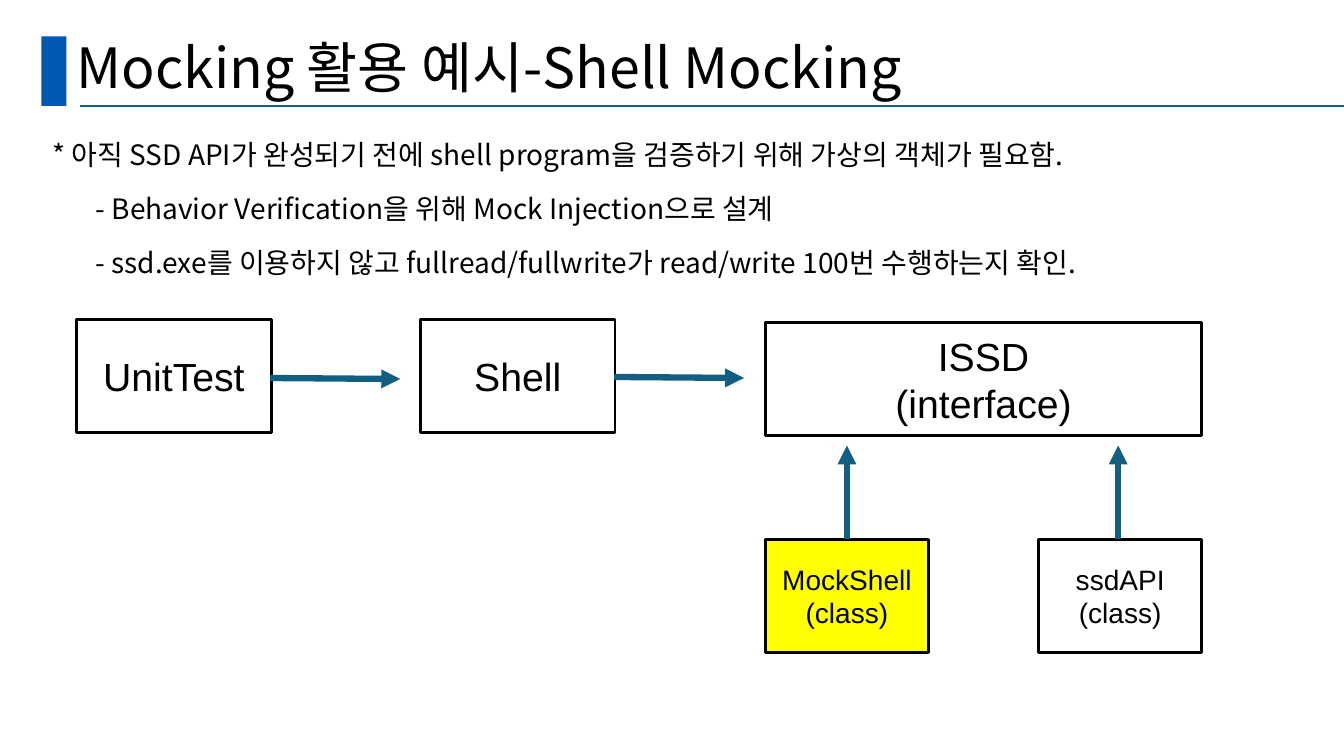
from dataclasses import dataclass

from lxml import etree
from pptx import Presentation
from pptx.dml.color import RGBColor
from pptx.enum import shapes, text
from pptx.oxml import ns
from pptx.util import Inches, Pt

KOREAN_FONT = "Noto Sans CJK KR"
BLACK = "000000"
ARROW_BLUE = "125F82"
BOX_HEIGHT = 1.12
TOP_ROW, CLASS_ROW = 3.17, 5.35


@dataclass
class Box:
    label: str
    left: float
    top: float
    width: float
    size: float
    fill: str | None = None


@dataclass
class Line:
    start: tuple[float, float]
    end: tuple[float, float]
    color: str = ARROW_BLUE
    width: float = 4.5
    arrow: bool = True


@dataclass
class Note:
    words: str
    indent: float


BOXES = [
    Box("ISSD\v(interface)", 7.59, 3.2, 4.33, 28),
    Box("MockShell\v(class)", 7.59, CLASS_ROW, 1.62, 20, "FFFF00"),
    Box("ssdAPI\v(class)", 10.3, CLASS_ROW, 1.62, 20),
    Box("UnitTest", 0.76, TOP_ROW, 1.93, 28),
    Box("Shell", 4.17, TOP_ROW, 1.93, 28),
]
LINES = [
    Line((0.79, 1.05), (13.33, 1.05), "156082", 1.5, arrow=False),
    Line((8.4, CLASS_ROW), (8.4, 4.42)),
    Line((11.09, CLASS_ROW), (11.09, 4.42)),
    Line((2.68, 3.75), (3.97, 3.76)),
    Line((6.09, 3.74), (7.38, 3.75)),
]
NOTES = [
    Note("* 아직 SSD API가 완성되기 전에 shell program을 검증하기 위해 가상의 객체가 필요함.", 0.19),
    Note("- Behavior Verification을 위해 Mock Injection으로 설계", 0.62),
    Note("- ssd.exe를 이용하지 않고 fullread/fullwrite가 read/write 100번 수행하는지 확인.", 0.62),
]


def rgb(color: str) -> RGBColor:
    return RGBColor.from_string(color)


def write(para, words: str, *, size: float, font: str = "Arial",
          align=text.PP_ALIGN.LEFT, spacing: float = 1.0, after: float = 0,
          indent: float = 0) -> None:
    para.text = words
    para.alignment = align
    para.line_spacing = spacing
    para.space_after = Pt(after)
    if indent:
        para._p.get_or_add_pPr().set("marL", str(Inches(indent)))
    for span in para.runs:
        span.font.size = Pt(size)
        span.font.name = font
        span.font.color.rgb = rgb(BLACK)
        east_asian = etree.SubElement(span._r.get_or_add_rPr(), ns.qn("a:ea"))
        east_asian.set("typeface", font)


def add_rectangle(page, left: float, top: float, width: float, height: float,
                  fill: str | None):
    box = page.shapes.add_shape(
        shapes.MSO_SHAPE.RECTANGLE,
        Inches(left), Inches(top), Inches(width), Inches(height))
    box.shadow.inherit = False
    if fill:
        box.fill.solid()
        box.fill.fore_color.rgb = rgb(fill)
    else:
        box.fill.background()
    box.line.fill.background()
    return box


def draw_box(page, item: Box) -> None:
    box = add_rectangle(page, item.left, item.top, item.width, BOX_HEIGHT, item.fill)
    box.line.color.rgb = rgb(BLACK)
    box.line.width = Pt(2)
    frame = box.text_frame
    frame.vertical_anchor = text.MSO_ANCHOR.MIDDLE
    write(frame.paragraphs[0], item.label, size=item.size, align=text.PP_ALIGN.CENTER)


def draw_line(page, item: Line) -> None:
    line = page.shapes.add_connector(
        shapes.MSO_CONNECTOR.STRAIGHT,
        *(Inches(value) for value in item.start + item.end))
    line.line.color.rgb = rgb(item.color)
    line.line.width = Pt(item.width)
    if item.arrow:
        head = etree.SubElement(line.line._get_or_add_ln(), ns.qn("a:tailEnd"))
        head.set("type", "triangle")
    etree.SubElement(line._element.spPr, ns.qn("a:effectLst"))


def draw_title(page) -> None:
    title = page.shapes.title
    title.left, title.top = Inches(0.66), Inches(0.34)
    title.width, title.height = Inches(11.5), Inches(0.71)
    frame = title.text_frame
    frame.auto_size = text.MSO_AUTO_SIZE.NONE
    frame.vertical_anchor = text.MSO_ANCHOR.MIDDLE
    write(frame.paragraphs[0], "Mocking 활용 예시-Shell Mocking",
          size=39.6, font=KOREAN_FONT, spacing=0.9)


def draw_notes(page) -> None:
    box = page.shapes.add_textbox(Inches(0.23), Inches(1.35), Inches(12.96), Inches(1.7))
    frame = box.text_frame
    frame.word_wrap = True
    for index, note in enumerate(NOTES):
        para = frame.add_paragraph() if index else frame.paragraphs[0]
        write(para, note.words, size=20, font=KOREAN_FONT,
              spacing=0.9, after=17, indent=note.indent)


def main() -> None:
    deck = Presentation()
    deck.slide_width, deck.slide_height = Inches(13.33), Inches(7.5)
    page = deck.slides.add_slide(deck.slide_layouts.get_by_name("Title Only"))
    add_rectangle(page, 0.41, 0.36, 0.25, 0.69, "005AB4")
    draw_title(page)
    draw_notes(page)
    for box in BOXES:
        draw_box(page, box)
    for line in LINES:
        draw_line(page, line)
    deck.save("out.pptx")


if __name__ == "__main__":
    main()
